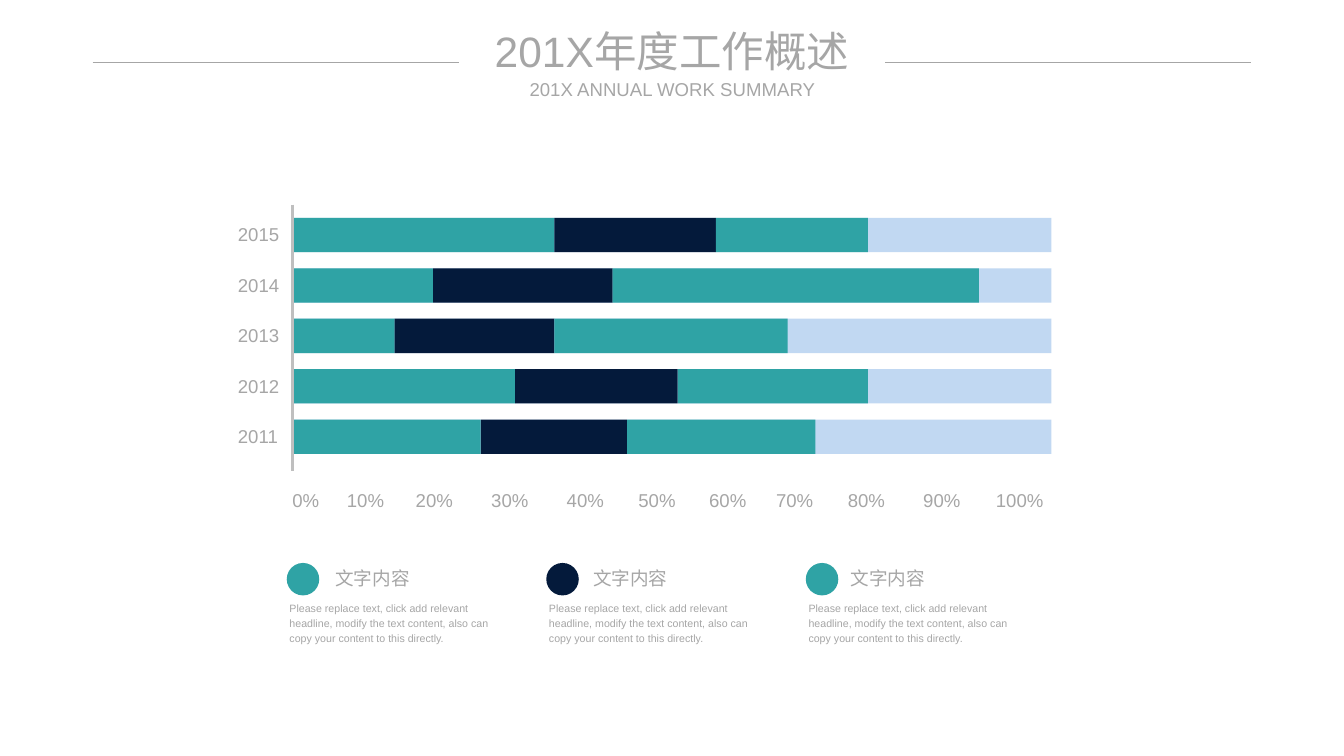
from lxml.etree import SubElement
from pptx import Presentation
from pptx.dml.color import RGBColor
from pptx.enum.shapes import MSO_CONNECTOR, MSO_SHAPE
from pptx.enum.text import MSO_ANCHOR, MSO_AUTO_SIZE, PP_ALIGN
from pptx.oxml.ns import qn
from pptx.util import Inches, Pt

COLORS = {"teal": "2FA3A5", "navy": "041A3B", "pale": "C1D8F2",
          "text": "A6A6A6", "axis": "BFBFBF"}
SLIDE_W, SLIDE_H = 14.06, 7.91

prs = Presentation()
prs.slide_width, prs.slide_height = Inches(SLIDE_W), Inches(SLIDE_H)
slide = prs.slides.add_slide(prs.slide_layouts[6])
shapes = slide.shapes


def add_text(text, x, y, w, h, size=14, align=PP_ALIGN.LEFT, spacing=1.2,
             wrap=False, heading=False):
    """Add a one-paragraph text box; a heading has no insets and is centred."""
    tf = shapes.add_textbox(*map(Inches, (x, y, w, h))).text_frame
    tf.word_wrap = wrap
    tf.auto_size = MSO_AUTO_SIZE.SHAPE_TO_FIT_TEXT
    if heading:
        tf.margin_left = tf.margin_right = tf.margin_top = tf.margin_bottom = 0
        tf.vertical_anchor = MSO_ANCHOR.MIDDLE
        align, spacing, wrap = PP_ALIGN.CENTER, 1.0, True
        tf.word_wrap = wrap
    p = tf.paragraphs[0]
    p.alignment, p.line_spacing = align, spacing
    r = p.add_run()
    r.text = text
    r.font.name, r.font.size = "Arial", Pt(size)
    r.font.color.rgb = RGBColor.from_string(COLORS["text"])


def add_filled(kind, x, y, w, h, color):
    sp = shapes.add_shape(kind, *map(Inches, (x, y, w, h)))
    sp.shadow.inherit = False
    sp.fill.solid()
    sp.fill.fore_color.rgb = RGBColor.from_string(COLORS[color])
    sp.line.fill.background()


# Stacked bars: the pale track shows the remainder
AXIS_X, BAR_TOP, ROW, BAR_W, BAR_H = 3.06, 2.28, 0.5275, 7.94, 0.36
YEARS = {
    "2015": (2.74, 1.69, 1.59),
    "2014": (1.47, 1.88, 3.83),
    "2013": (1.07, 1.67, 2.44),
    "2012": (2.33, 1.70, 1.99),
    "2011": (1.97, 1.53, 1.97),
}
for row, (year, segments) in enumerate(YEARS.items()):
    x, y = AXIS_X, BAR_TOP + row * ROW
    add_filled(MSO_SHAPE.RECTANGLE, x, y, BAR_W, BAR_H, "pale")
    for width, color in zip(segments, ("teal", "navy", "teal")):
        add_filled(MSO_SHAPE.RECTANGLE, x, y, width, BAR_H, color)
        x += width
    add_text(year, 2.39, y - 0.04, 0.64, 0.36, align=PP_ALIGN.JUSTIFY)

# Percentage scale
SCALE_X = (2.96, 3.53, 4.25, 5.04, 5.83, 6.58, 7.32, 8.02, 8.77, 9.56, 10.32)
for step, x in enumerate(SCALE_X):
    label = f"{step * 10}%"
    add_text(label, x, 5.02, 0.28 + 0.105 * len(label), 0.36,
             align=PP_ALIGN.JUSTIFY)

# Chart axis and the two rules beside the title
MARGIN, RULE_W, RULE_Y = 0.97, 3.83, 0.65
RULE_RIGHT = SLIDE_W - MARGIN
LINES = [
    (AXIS_X, 2.14, AXIS_X, 4.93, "axis", 2),
    (MARGIN, RULE_Y, MARGIN + RULE_W, RULE_Y, "text", 0.5),
    (RULE_RIGHT - RULE_W, RULE_Y, RULE_RIGHT, RULE_Y, "text", 0.5),
]
for x1, y1, x2, y2, color, width in LINES:
    line = shapes.add_connector(MSO_CONNECTOR.STRAIGHT,
                                *map(Inches, (x1, y1, x2, y2)))
    line.line.color.rgb = RGBColor.from_string(COLORS[color])
    line.line.width = Pt(width)
    SubElement(line._element.spPr, qn("a:effectLst"))

# Legend
LEGEND_TEXT = ("Please replace text, click add relevant headline, modify the "
               "text content, also can copy your content to this directly.")
for col, color in enumerate(("teal", "navy", "teal")):
    x = 3 + col * 2.715
    add_filled(MSO_SHAPE.OVAL, x, 5.89, 0.34, 0.34, color)
    add_text("文字内容", 3.41 + col * 2.695, 5.84, 0.99, 0.36)
    add_text(LEGEND_TEXT, x - 0.07, 6.22, 2.46, 0.59, size=8, wrap=True)

# Title
add_text("201X年度工作概述", 4.87, 0.26, 4.32, 0.54, size=32, heading=True)
add_text("201X ANNUAL WORK SUMMARY", 5.5, 0.81, 3.07, 0.24, heading=True)

prs.save("out.pptx")
